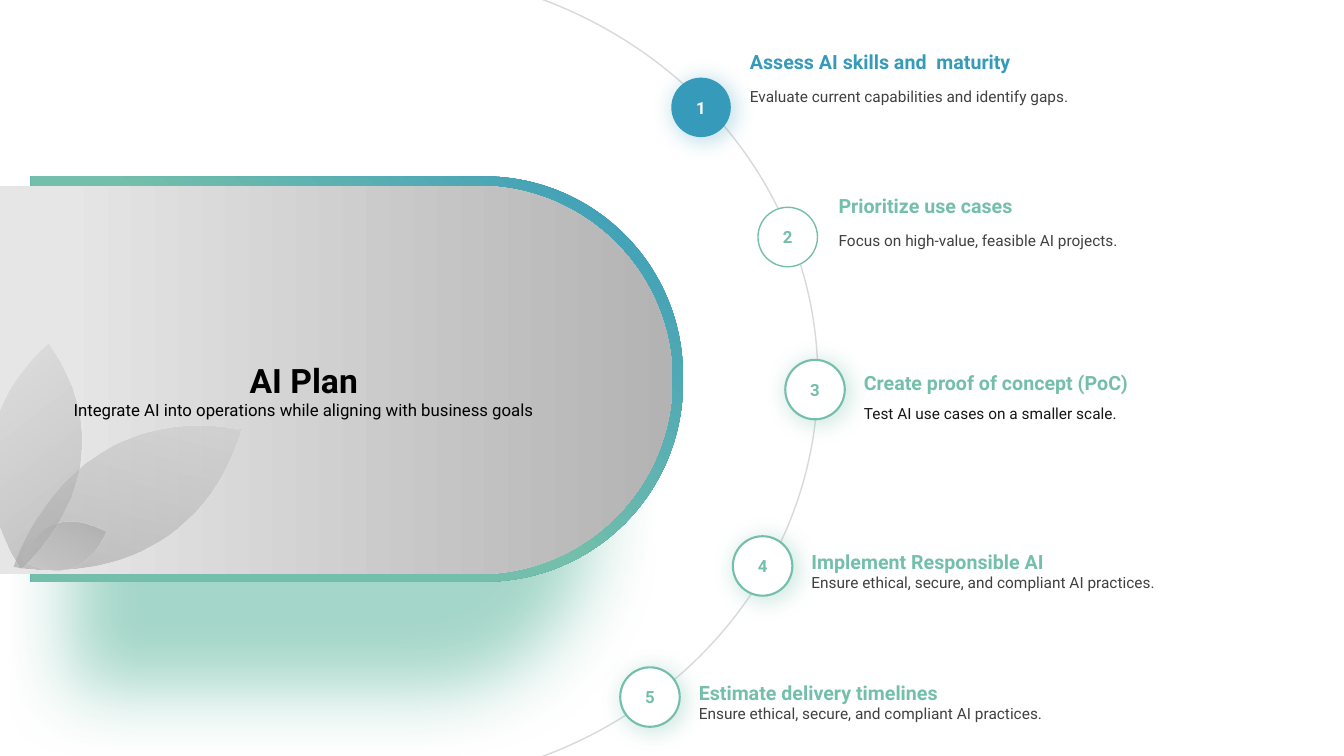
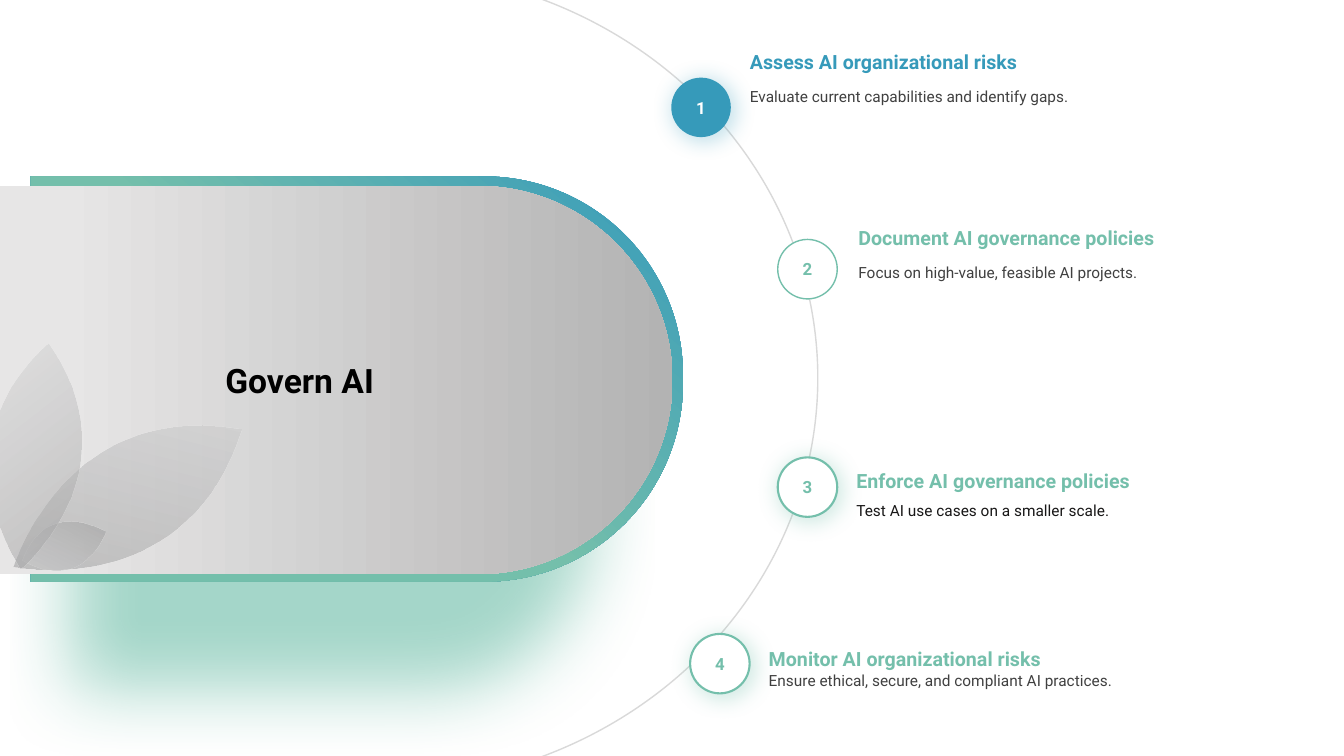
"""Build two AI roadmap slides with numbered steps along an arc."""
from math import cos, radians, sin
from lxml.etree import SubElement
from pptx import Presentation
from pptx.dml.color import RGBColor
from pptx.enum.shapes import MSO_SHAPE
from pptx.enum.text import MSO_ANCHOR, MSO_AUTO_SIZE, PP_ALIGN
from pptx.oxml.ns import qn
from pptx.util import Inches, Pt

FONT = "Roboto"
BLUE, GREEN, WHITE, BLACK = "369ABA", "74BFAB", "FFFFFF", "000000"
DARK, INK, RULE = "404040", "181717", "D9D9D9"
LEAF_DARK, LEAF_LIGHT = "9F9FA0", "D5D5D5"

deck = Presentation()
deck.slide_width, deck.slide_height = Inches(13.333), Inches(7.5)
COLUMN, ROW = deck.slide_width / 100, deck.slide_height / 100


def area(left, top, width, height):
    """Turn grid columns and rows, each a hundredth of the slide, into lengths."""
    return [round(left * COLUMN), round(top * ROW), round(width * COLUMN), round(height * ROW)]


def paint(shape, fill=None, angle=0, line=None, weight=1, shadow=None):
    """Set a solid or gradient fill, an outline and a shadow."""
    shape.shadow.inherit = False
    if fill is None:
        shape.fill.background()
    elif isinstance(fill, str):
        shape.fill.solid()
        shape.fill.fore_color.rgb = RGBColor.from_string(fill)
    else:
        shape.fill.gradient()
        shape.fill.gradient_angle = (360 - angle) % 360
        for stop, (position, color, opacity) in zip(shape.fill.gradient_stops, fill):
            stop.position = position / 100
            stop.color.rgb = RGBColor.from_string(color)
        for node, (position, color, opacity) in zip(shape.element.spPr.iter(qn("a:srgbClr")), fill):
            if opacity < 100:
                SubElement(node, qn("a:alpha"), val=str(opacity * 1000))
    if line:
        shape.line.color.rgb = RGBColor.from_string(line)
        shape.line.width = Pt(weight)
    else:
        shape.line.fill.background()
    if shadow:
        color, opacity, blur, distance, direction, across, down, anchor = shadow
        effects = shape.element.spPr.find(qn("a:effectLst"))
        outer = SubElement(effects, qn("a:outerShdw"), blurRad=str(Pt(blur)), dist=str(Pt(distance)),
                           dir=str(direction * 60000), sx=str(across * 1000), sy=str(down * 1000),
                           algn=anchor, rotWithShape="0")
        node = SubElement(outer, qn("a:srgbClr"), val=color)
        SubElement(node, qn("a:alpha"), val=str(opacity * 1000))


LEAVES = [
    ([(1.05, 74.93), (4.8, 52.8), (18, 56.8), (14.1, 78.53), (2.33, 75.33)],
     (9.53, 65.93), 238.9, 63, 58),
    ([(7.8, 70.27), (6.08, 78.67), (1.65, 74), (3.45, 65.87), (7.35, 69.87)],
     (4.76, 72.13), 71.1, 69, 58),
    ([(1.65, 75.2), (-4.73, 59.07), (3.68, 45.47), (9.9, 61.6), (2.48, 73.87)],
     (2.66, 60.33), 186.9, 58, 40),
]

RIM_GLOW = ("1D9A78", 40, 54, 31, 90, 80, 90, "b")
BLUE_GLOW = (BLUE, 28, 14, 3, 45, 110, 110, "ctr")
GREEN_GLOW = (GREEN, 30, 14, 3, 45, 110, 110, "ctr")
LAST_STYLE = (WHITE, GREEN, GREEN, 1.5, GREEN_GLOW, DARK, 5.4, 0.33, 4.13)
STEP_STYLES = [
    (BLUE, WHITE, BLUE, 0, BLUE_GLOW, DARK, 5.4, -5.15, 0.45),
    (WHITE, GREEN, GREEN, 1, None, DARK, 5.55, -3.2, 2.4),
    (WHITE, GREEN, GREEN, 1.5, GREEN_GLOW, INK, 5.4, 0.05, 5),
    LAST_STYLE,
    LAST_STYLE,
]

CAPABILITIES = "Evaluate current capabilities and identify gaps."
PROJECTS = "Focus on high-value, feasible AI projects."
SMALL_SCALE = "Test AI use cases on a smaller scale."
PRACTICES = "Ensure ethical, secure, and compliant AI practices."

PAGES = [
    ([("AI Plan", 24, True),
      ("Integrate AI into operations while aligning with business goals", 12, False)], 8.8, [
        (49.95, 10.27, "Assess AI skills and  maturity", CAPABILITIES),
        (56.4, 27.42, "Prioritize use cases", PROJECTS),
        (58.43, 47.6, "Create proof of concept (PoC)", SMALL_SCALE),
        (54.53, 70.93, "Implement Responsible AI", PRACTICES),
        (46.15, 88.27, "Estimate delivery timelines", PRACTICES),
    ]),
    ([("Govern AI ", 24, True)], 6.13, [
        (49.95, 10.27, "Assess AI organizational risks", CAPABILITIES),
        (57.87, 31.67, "Document AI governance policies", PROJECTS),
        (57.87, 60.5, "Enforce AI governance policies", SMALL_SCALE),
        (51.35, 83.85, "Monitor AI organizational risks", PRACTICES),
    ]),
]

for title_lines, title_height, steps in PAGES:
    page = deck.slides.add_slide(deck.slide_layouts[5])

    rim = page.shapes.add_shape(MSO_SHAPE.ROUND_2_SAME_RECTANGLE, *area(11.48, 7, 30.15, 86.27))
    rim.rotation = 270
    rim.adjustments[0], rim.adjustments[1] = 0, 0.49
    paint(rim, [(0, BLUE, 100), (51, GREEN, 100)], 220, shadow=RIM_GLOW)

    orbit = page.shapes.add_shape(MSO_SHAPE.ARC, *area(-2.12, -8, 60.68, 116))
    orbit.rotation = 90
    orbit.adjustments[0], orbit.adjustments[1] = 121.95, 202.13
    paint(orbit, line=RULE)

    panel = page.shapes.add_shape(MSO_SHAPE.ROUND_2_SAME_RECTANGLE, *area(10.58, 5.8, 28.88, 88.93))
    panel.rotation = 270
    panel.adjustments[0], panel.adjustments[1] = 0, 0.5
    paint(panel, [(9, "E7E6E6", 100), (100, "B3B3B3", 100)], 90)

    for anchors, (middle_x, middle_y), turn, dark_opacity, light_opacity in LEAVES:
        cosine, sine = cos(radians(turn)), sin(radians(turn))
        upright = []
        for x, y in anchors:
            across, down = (x - middle_x) * COLUMN, (y - middle_y) * ROW
            upright.append((middle_x * COLUMN + across * cosine + down * sine,
                            middle_y * ROW - across * sine + down * cosine))
        base, rise, tip, bend, fall = upright
        curves = ((base, base, rise, tip), (tip, bend, fall, base))
        outline = []
        for curve in curves:
            for step in range(1, 25):
                t = step / 24
                weights = ((1 - t) ** 3, 3 * t * (1 - t) ** 2, 3 * t * t * (1 - t), t ** 3)
                outline.append([sum(w * p[axis] for w, p in zip(weights, curve)) for axis in (0, 1)])
        builder = page.shapes.build_freeform(*base)
        builder.add_line_segments(outline, close=True)
        leaf = builder.convert_to_shape()
        segments = list(leaf.element.spPr.iter(qn("a:lnTo")))
        track = segments[0].getparent()
        for segment in segments:
            track.remove(segment)
        for order, curve in enumerate(curves, 1):
            bezier = SubElement(track, qn("a:cubicBezTo"))
            track.insert(order, bezier)
            for x, y in curve[1:]:
                SubElement(bezier, qn("a:pt"), x=str(round(x - leaf.left)), y=str(round(y - leaf.top)))
        leaf.rotation = turn
        paint(leaf, [(0, LEAF_DARK, dark_opacity), (100, LEAF_LIGHT, light_opacity)], 45)

    title = page.shapes.title
    title.element.getparent().append(title.element)
    title.left, title.top, title.width, title.height = area(1.75, 47.2, 41.7, title_height)
    frame = title.text_frame
    frame.word_wrap = True
    frame.auto_size = MSO_AUTO_SIZE.SHAPE_TO_FIT_TEXT
    frame.vertical_anchor = MSO_ANCHOR.TOP
    frame.margin_left = frame.margin_right = frame.margin_top = frame.margin_bottom = Inches(0.03)
    for index, (text, size, bold) in enumerate(title_lines):
        para = frame.add_paragraph() if index else frame.paragraphs[0]
        para.alignment = PP_ALIGN.CENTER
        span = para.add_run()
        span.text = text
        span.font.name, span.font.size, span.font.bold = FONT, Pt(size), bold
        span.font.color.rgb = RGBColor.from_string(BLACK)

    for number, ((left, top, heading, detail), style) in enumerate(zip(steps, STEP_STYLES), 1):
        fill, digit_color, accent, weight, glow, detail_color, indent, heading_drop, detail_drop = style
        badge = page.shapes.add_shape(MSO_SHAPE.OVAL, *area(left, top, 4.43, 7.87))
        paint(badge, fill, line=accent if weight else None, weight=weight, shadow=glow)
        badge.text_frame.vertical_anchor = MSO_ANCHOR.MIDDLE
        heading_box = page.shapes.add_textbox(*area(left + indent, top + heading_drop, 36, 4.93))
        detail_box = page.shapes.add_textbox(*area(left + indent, top + detail_drop, 36, 3.87))
        for box in (heading_box, detail_box):
            frame = box.text_frame
            frame.word_wrap = True
            frame.auto_size = MSO_AUTO_SIZE.SHAPE_TO_FIT_TEXT
            frame.margin_left = frame.margin_right = frame.margin_top = frame.margin_bottom = Inches(0.06)
        for box, text, size, bold, color, spacing, alignment in (
            (badge, str(number), 12, True, digit_color, 1.0, PP_ALIGN.CENTER),
            (heading_box, heading, 14, True, accent, 1.2, PP_ALIGN.LEFT),
            (detail_box, detail, 11, False, detail_color, Pt(13.2), PP_ALIGN.LEFT),
        ):
            para = box.text_frame.paragraphs[0]
            para.alignment, para.line_spacing = alignment, spacing
            span = para.add_run()
            span.text = text
            span.font.name, span.font.size, span.font.bold = FONT, Pt(size), bold
            span.font.color.rgb = RGBColor.from_string(color)

deck.save("out.pptx")
